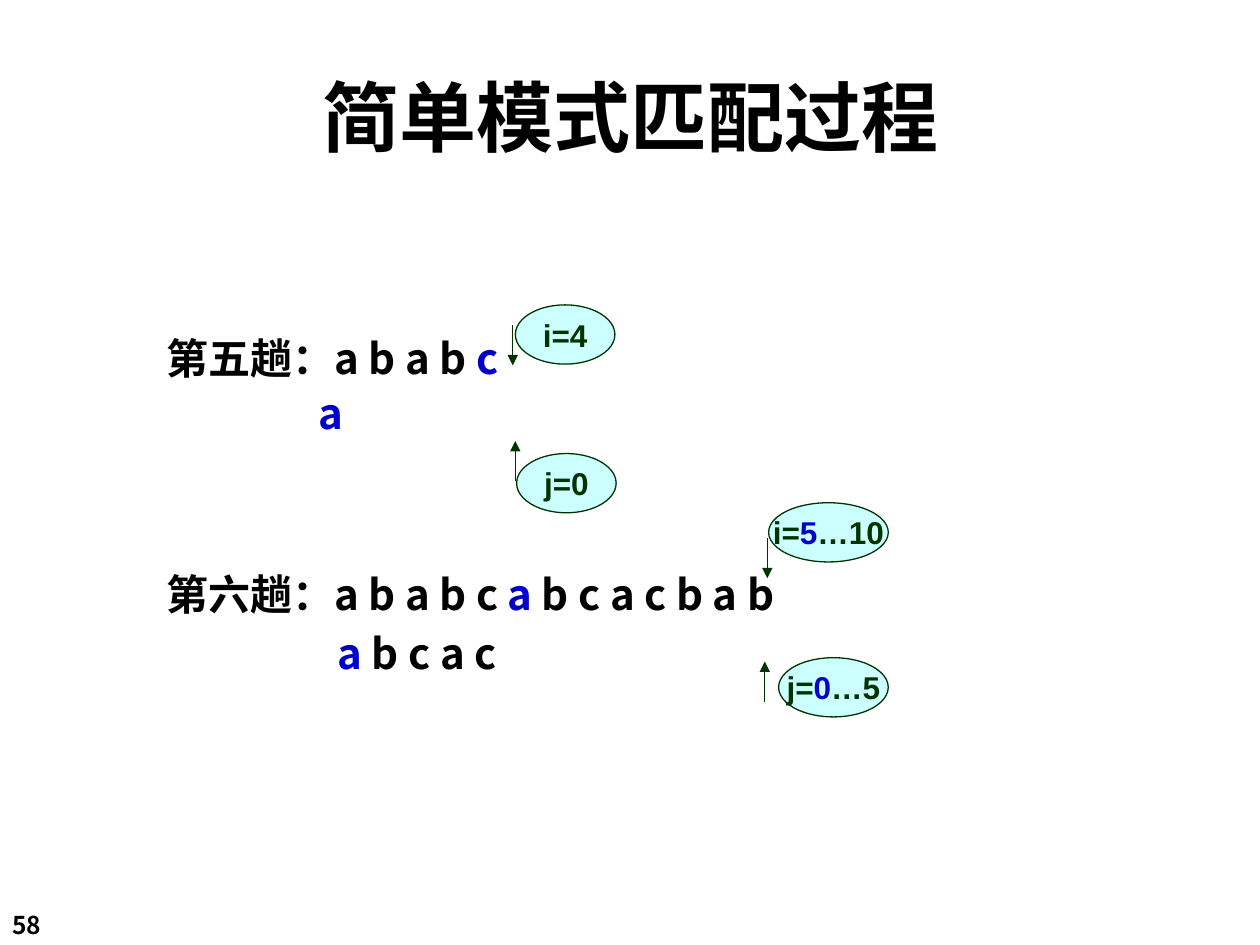
from pptx import Presentation
from pptx.dml.color import RGBColor
from pptx.enum.shapes import MSO_CONNECTOR, MSO_SHAPE
from pptx.enum.text import MSO_ANCHOR, PP_ALIGN
from pptx.oxml.ns import qn
from pptx.util import Inches, Pt
from lxml.etree import SubElement

BLACK = RGBColor(0, 0, 0)
BLUE = RGBColor(0, 0, 0xCC)
GREEN = RGBColor(0, 0x33, 0)
CYAN = RGBColor(0xCC, 0xFF, 0xFF)
HAN = "Noto Sans CJK SC"


def write(para, runs, face, size, ink):
    for text, blue in runs:
        run = para.add_run()
        run.text = text
        style = {"name": face, "size": Pt(size), "bold": True}
        for key, value in style.items():
            setattr(run.font, key, value)
        run.font.color.rgb = BLUE if blue else ink
        SubElement(run.font._element, qn("a:ea")).set("typeface", face)


deck = Presentation()
deck.slide_width, deck.slide_height = Inches(10), Inches(7.5)
slide = deck.slides.add_slide(deck.slide_layouts[6])
shapes = slide.shapes

labels = [
    (0, 7.17, 0.83, 0.34, "58", 14, PP_ALIGN.LEFT, MSO_ANCHOR.TOP),
    (0.42, 0.42, 9.17, 1, "简单模式匹配过程", 44, PP_ALIGN.CENTER, MSO_ANCHOR.MIDDLE),
]
for left, top, width, height, text, size, align, anchor in labels:
    box = shapes.add_textbox(Inches(left), Inches(top), Inches(width), Inches(height))
    frame = box.text_frame
    frame.word_wrap, frame.vertical_anchor = True, anchor
    frame.paragraphs[0].alignment = align
    write(frame.paragraphs[0], [(text, False)], HAN, size, BLACK)

rounds = [
    (2.64, 4.41, 25.3, 1.21, [("第五趟：a b a b ", False), ("c", True)], [("a", True)]),
    (4.47, 8.66, 28, 1.36,
     [("第六趟：a b a b c ", False), ("a", True), (" b c a c b a b", False)],
     [("a", True), (" b c a c", False)]),
]
for top, width, pitch, indent, main, sub in rounds:
    box = shapes.add_textbox(Inches(1.22), Inches(top), Inches(width), Inches(1.1))
    frame = box.text_frame
    frame.word_wrap = True
    for para, runs in zip((frame.paragraphs[0], frame.add_paragraph()), (main, sub)):
        para.line_spacing, para.space_before = Pt(pitch), Pt(6)
        write(para, runs, HAN, 24, BLACK)
    para._p.get_or_add_pPr().set("marL", str(Inches(indent)))

arrows = [(4.07, 2.58, 2.9), (4.09, 3.82, 3.5), (6.09, 4.27, 4.59), (6.07, 5.57, 5.25)]
for x, start, end in arrows:
    arrow = shapes.add_connector(
        MSO_CONNECTOR.STRAIGHT, Inches(x), Inches(start), Inches(x), Inches(end))
    arrow.line.color.rgb, arrow.line.width = GREEN, Pt(0.75)
    SubElement(arrow.line._get_or_add_ln(), qn("a:tailEnd")).set("type", "triangle")
    SubElement(arrow._element.spPr, qn("a:effectLst"))

ovals = [
    (4.1, 3.6, 0.79, [("j=0", False)]),
    (4.09, 2.42, 0.79, [("i=4", False)]),
    (6.1, 3.99, 0.95, [("i=", False), ("5", True), ("…10", False)]),
    (6.18, 5.22, 0.87, [("j=", False), ("0", True), ("…5", False)]),
]
for left, top, width, runs in ovals:
    oval = shapes.add_shape(
        MSO_SHAPE.OVAL, Inches(left), Inches(top), Inches(width), Inches(0.47))
    oval.shadow.inherit = False
    oval.fill.solid()
    oval.fill.fore_color.rgb = CYAN
    oval.line.color.rgb, oval.line.width = GREEN, Pt(0.75)
    frame = oval.text_frame
    frame.word_wrap, frame.vertical_anchor = False, MSO_ANCHOR.MIDDLE
    frame.paragraphs[0].alignment = PP_ALIGN.CENTER
    write(frame.paragraphs[0], runs, "Arial", 18, GREEN)

deck.save("out.pptx")
